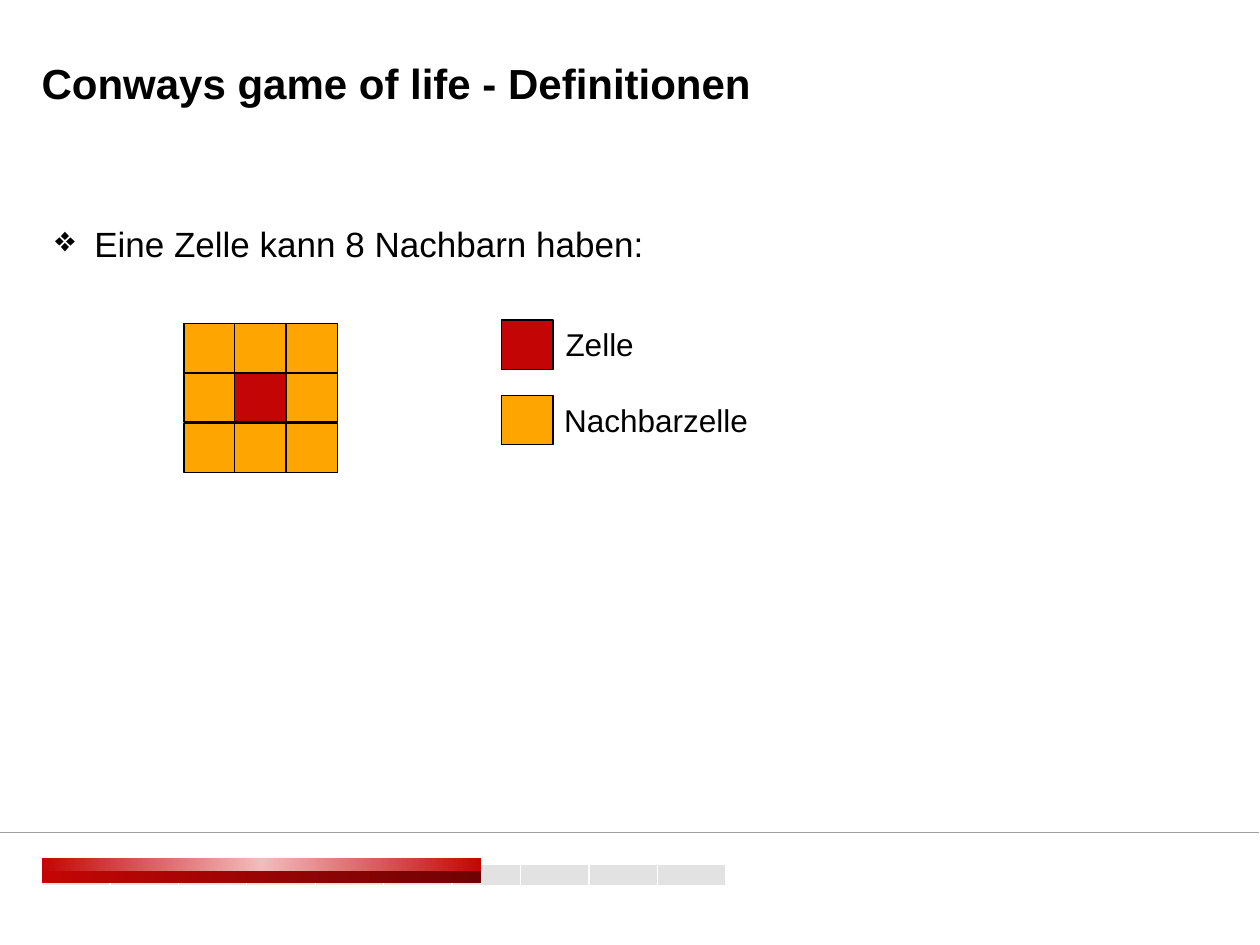
"""Build the slide that defines cells and neighbours in Conway's game of life."""
import copy
from dataclasses import dataclass

from lxml import etree
from pptx import Presentation
from pptx import util as u
from pptx.dml.color import RGBColor
from pptx.enum import shapes, text
from pptx.oxml import ns
from pptx.shapes.autoshape import Shape
from pptx.slide import Slide

BLACK = RGBColor(0x00, 0x00, 0x00)
WHITE = RGBColor(0xFF, 0xFF, 0xFF)
RED = RGBColor(0xC4, 0x05, 0x05)
DARK_RED = RGBColor(0x6F, 0x03, 0x03)
PINK = RGBColor(0xEF, 0xBD, 0xBD)
ORANGE = RGBColor(0xFE, 0xA5, 0x01)
LIGHT_GREY = RGBColor(0xE2, 0xE2, 0xE2)
RULE_GREY = RGBColor(0x9F, 0x9F, 0x9F)

CELL_WIDTH, CELL_HEIGHT = 0.41, 0.39
GRID_LEFTS = (1.46, 1.86, 2.27)
GRID_TOPS = (2.57, 2.96, 3.36)
SEGMENT_COUNT, SEGMENT_PITCH = 10, 0.543


@dataclass(frozen=True)
class Box:
    left: float
    top: float
    width: float
    height: float

    def lengths(self) -> tuple[u.Length, ...]:
        return tuple(u.Inches(value) for value in (self.left, self.top, self.width, self.height))


@dataclass(frozen=True)
class Label:
    wording: str
    box: Box
    size: int
    bold: bool = False
    line_spacing: float = 1.0
    side_inset: float = 0.1
    bullet: str = ""


@dataclass(frozen=True)
class GradientBar:
    box: Box
    colours: tuple[RGBColor, ...]


LABELS = (
    Label("Conways game of life - Definitionen", Box(0.33, 0.45, 9.32, 0.71), 24,
          bold=True, line_spacing=0.9, side_inset=0),
    Label("Eine Zelle kann 8 Nachbarn haben:", Box(0.34, 1.55, 9.06, 0.6), 20,
          line_spacing=1.5, bullet="❖"),
    Label("Nachbarzelle", Box(4.38, 3.13, 2.34, 0.4), 18),
    Label("Zelle", Box(4.39, 2.53, 2.35, 0.4), 18),
)
GRADIENT_BARS = (
    GradientBar(Box(0.33, 6.81, 3.49, 0.1), (RED, PINK, RED)),
    GradientBar(Box(0.33, 6.91, 3.49, 0.1), (RED, DARK_RED)),
)


def add_rectangle(slide: Slide, box: Box) -> Shape:
    shape = slide.shapes.add_shape(shapes.MSO_SHAPE.RECTANGLE, *box.lengths())
    shape.shadow.inherit = False
    return shape


def add_tile(slide: Slide, box: Box, fill: RGBColor, line: RGBColor) -> None:
    shape = add_rectangle(slide, box)
    shape.fill.solid()
    shape.fill.fore_color.rgb = fill
    shape.line.color.rgb = line
    shape.line.width = u.Pt(0.75)


def add_cell(slide: Slide, left: float, top: float, fill: RGBColor) -> None:
    add_tile(slide, Box(left, top, CELL_WIDTH, CELL_HEIGHT), fill, BLACK)


def add_gradient_bar(slide: Slide, bar: GradientBar) -> None:
    shape = add_rectangle(slide, bar.box)
    shape.line.fill.background()
    shape.fill.gradient()
    shape.fill.gradient_angle = 0
    stop_list = shape._element.spPr.find(".//" + ns.qn("a:gsLst"))
    while len(stop_list) < len(bar.colours):
        stop_list.append(copy.deepcopy(stop_list[0]))
    for index, (stop, colour) in enumerate(zip(shape.fill.gradient_stops, bar.colours)):
        stop.position = index / (len(bar.colours) - 1)
        stop.color.rgb = colour


def add_label(slide: Slide, label: Label) -> None:
    frame = slide.shapes.add_textbox(*label.box.lengths()).text_frame
    frame.word_wrap = True
    frame.vertical_anchor = text.MSO_ANCHOR.TOP
    frame.margin_left = frame.margin_right = u.Inches(label.side_inset)
    paragraph = frame.paragraphs[0]
    paragraph.line_spacing = label.line_spacing
    if label.bullet:
        properties = paragraph._p.get_or_add_pPr()
        properties.set("marL", str(u.Inches(0.31)))
        properties.set("indent", str(u.Inches(-0.31)))
        colour = etree.SubElement(properties, ns.qn("a:buClr"))
        etree.SubElement(colour, ns.qn("a:srgbClr"), val=str(BLACK))
        etree.SubElement(properties, ns.qn("a:buChar"), char=label.bullet)
    run = paragraph.add_run()
    run.text = label.wording
    run.font.name = "Arial"
    run.font.size = u.Pt(label.size)
    run.font.bold = label.bold
    run.font.color.rgb = BLACK


def add_footer(slide: Slide) -> None:
    for index in range(SEGMENT_COUNT):
        box = Box(0.33 + index * SEGMENT_PITCH, 6.86, SEGMENT_PITCH, 0.17)
        add_tile(slide, box, LIGHT_GREY, WHITE)
    rule = slide.shapes.add_connector(
        shapes.MSO_CONNECTOR.STRAIGHT, u.Inches(0), u.Inches(6.61), u.Inches(9.99), u.Inches(6.61))
    rule.line.color.rgb = RULE_GREY
    rule.line.width = u.Pt(0.75)
    etree.SubElement(rule._element.spPr, ns.qn("a:effectLst"))
    for bar in GRADIENT_BARS:
        add_gradient_bar(slide, bar)


def add_neighbourhood(slide: Slide) -> None:
    for row, top in enumerate(GRID_TOPS):
        for column, left in enumerate(GRID_LEFTS):
            add_cell(slide, left, top, RED if row == column == 1 else ORANGE)


def main() -> None:
    presentation = Presentation()
    presentation.slide_width = u.Inches(10)
    presentation.slide_height = u.Inches(7.5)
    slide = presentation.slides.add_slide(presentation.slide_layouts[6])
    add_footer(slide)
    add_neighbourhood(slide)
    add_cell(slide, 3.98, 3.14, ORANGE)
    add_cell(slide, 3.98, 2.54, RED)
    for label in LABELS:
        add_label(slide, label)
    presentation.save("out.pptx")


if __name__ == "__main__":
    main()
